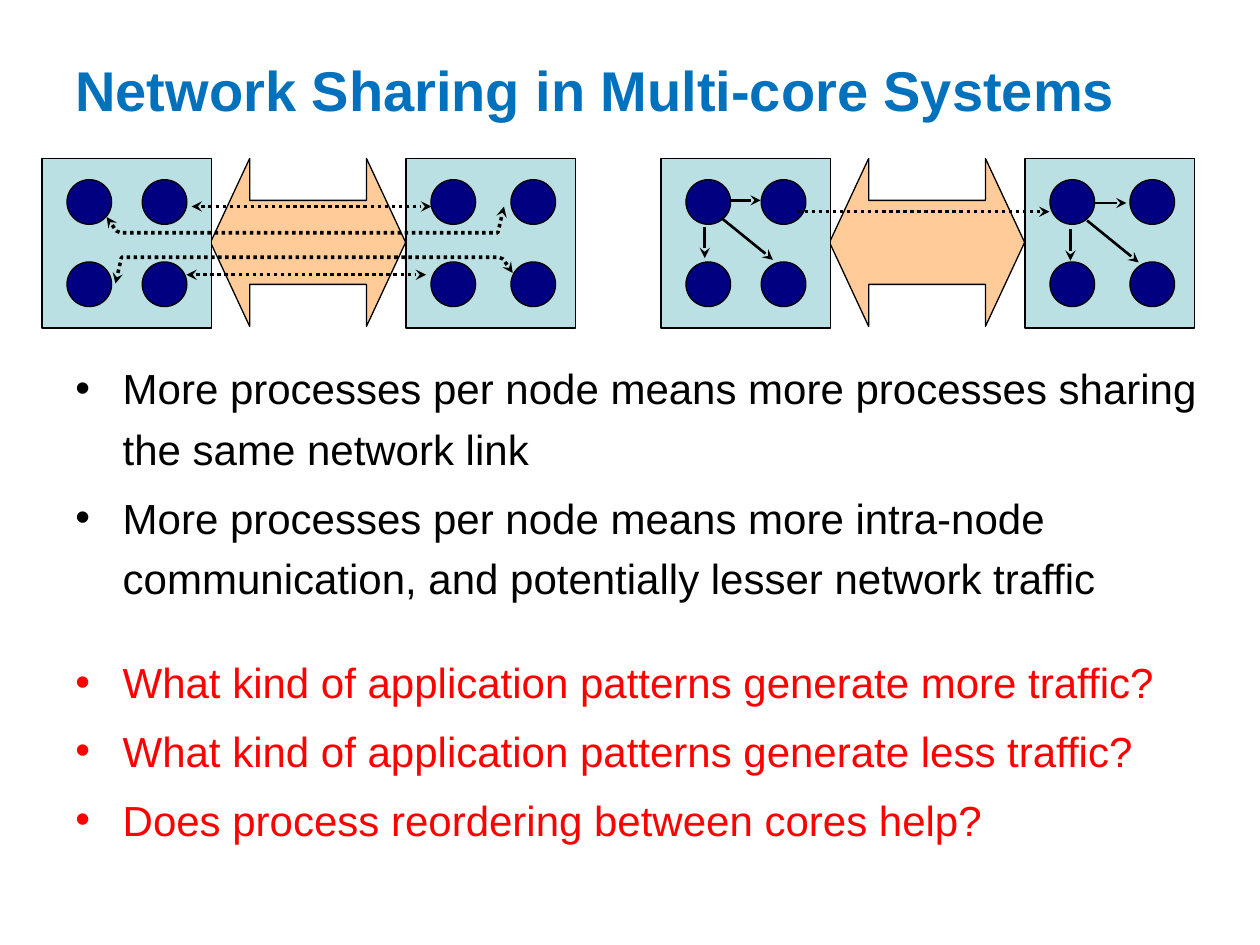
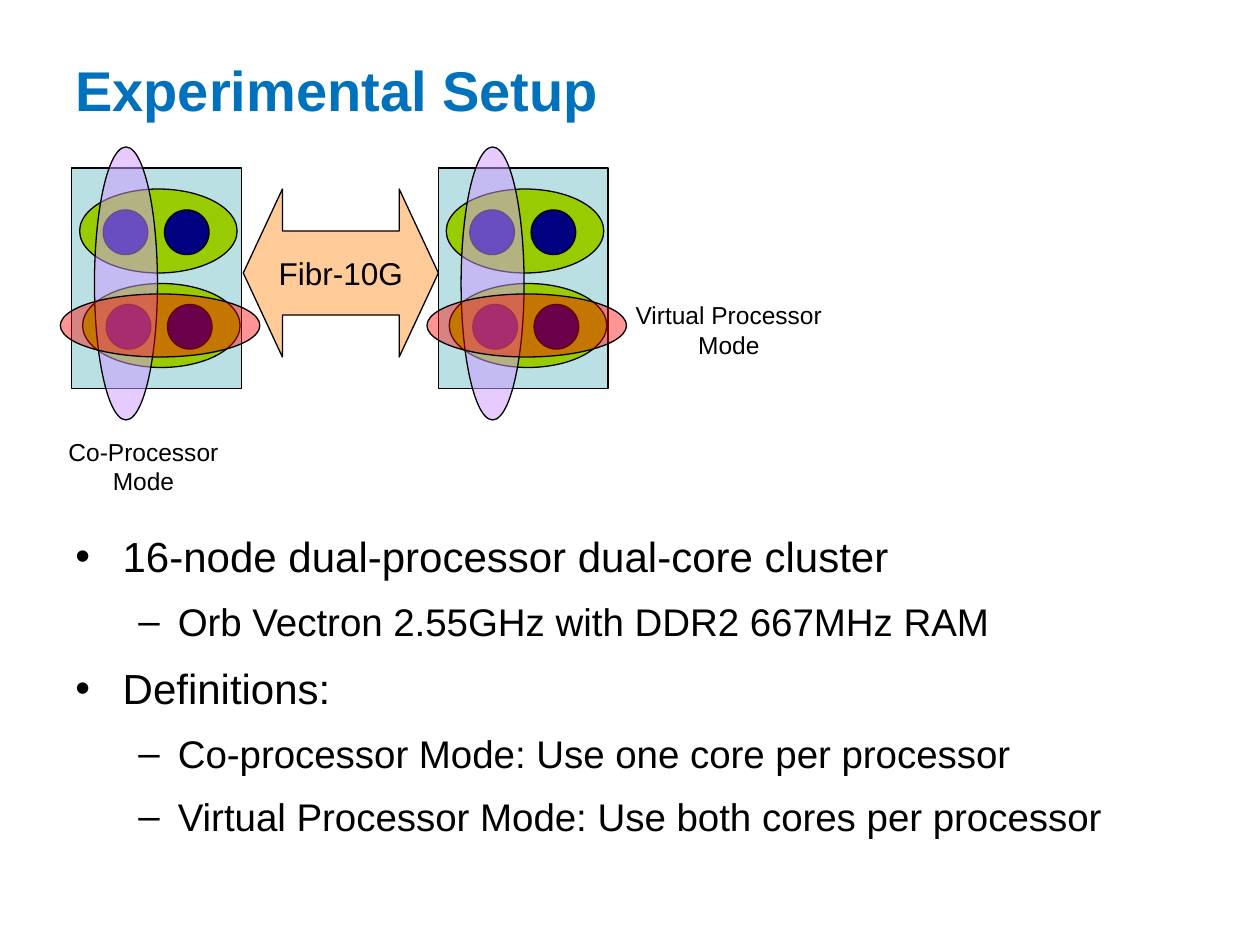
from itertools import product

from lxml import etree
from pptx import Presentation
from pptx.dml.color import RGBColor
from pptx.enum.dml import MSO_LINE
from pptx.enum.shapes import MSO_CONNECTOR, MSO_SHAPE
from pptx.enum.text import MSO_ANCHOR, PP_ALIGN
from pptx.oxml.ns import qn
from pptx.util import Pt

RECT = MSO_SHAPE.RECTANGLE
OVAL = MSO_SHAPE.OVAL
DOUBLE_ARROW = MSO_SHAPE.LEFT_RIGHT_ARROW
STRAIGHT = MSO_CONNECTOR.STRAIGHT
DOTTED = MSO_LINE.ROUND_DOT
MIDDLE, TOP = MSO_ANCHOR.MIDDLE, MSO_ANCHOR.TOP
LEFT, CENTER = PP_ALIGN.LEFT, PP_ALIGN.CENTER

FONT = "Arial"
BLACK = "000000"
RED = "FF0000"
TITLE_BLUE = "0071BC"
NODE_BLUE = "BBE0E3"
CORE_NAVY = "000080"
LINK_ORANGE = "FFCC99"
PROCESSOR_GREEN = "99CC00"
CO_PURPLE = "CC99FF"

CORE = 25.5
NODE_WIDTH = 97
LINK_SIZE = (111.5, 96)
LEVELS = [(24, 27, -27, "•"), (22, 58.5, -22.5, "–")]


def rgb(value):
    return RGBColor.from_string(value)


def points(*values):
    return [Pt(value) for value in values]


def write(frame, lines, size=18, color=BLACK, bold=False, align=LEFT,
          anchor=TOP, wrap=True):
    frame.word_wrap = wrap
    frame.vertical_anchor = anchor
    for index, line in enumerate(lines):
        paragraph = frame.paragraphs[0] if index == 0 else frame.add_paragraph()
        paragraph.alignment = align
        run = paragraph.add_run()
        run.text = line
        run.font.name = FONT
        run.font.size = Pt(size)
        run.font.bold = bold
        run.font.color.rgb = rgb(color)


def add_text(slide, box, lines, **style):
    frame = slide.shapes.add_textbox(*points(*box)).text_frame
    write(frame, lines, **style)
    return frame


def add_solid(slide, kind, box, color, opacity=None):
    solid = slide.shapes.add_shape(kind, *points(*box))
    solid.shadow.inherit = False
    solid.fill.solid()
    solid.fill.fore_color.rgb = rgb(color)
    solid.line.color.rgb = rgb(BLACK)
    solid.line.width = Pt(0.75)
    if opacity:
        tint = solid.element.spPr.find(qn("a:solidFill"))[0]
        etree.SubElement(tint, qn("a:alpha"), val=str(opacity * 1000))
    return solid


def style_route(route, width, dash, both_ends):
    route.line.color.rgb = rgb(BLACK)
    route.line.width = Pt(width)
    if dash:
        route.line.dash_style = dash
    outline = route.element.spPr.find(qn("a:ln"))
    for end in ("a:headEnd", "a:tailEnd")[0 if both_ends else 1:]:
        etree.SubElement(outline, qn(end), type="stealth")


def add_arrow(slide, start, end, width=2, dash=DOTTED, both_ends=False):
    arrow = slide.shapes.add_connector(STRAIGHT, *points(*start, *end))
    style_route(arrow, width, dash, both_ends)
    etree.SubElement(arrow.element.spPr, qn("a:effectLst"))


def add_detour(slide, corners):
    first, *rest = [points(*corner) for corner in corners]
    builder = slide.shapes.build_freeform(*first)
    builder.add_line_segments(rest, close=False)
    detour = builder.convert_to_shape()
    detour.shadow.inherit = False
    detour.fill.background()
    style_route(detour, 2, DOTTED, True)


def add_title(slide, title):
    add_text(slide, (36, 12, 648, 78), [title], size=32, color=TITLE_BLUE,
             bold=True, anchor=MIDDLE)


def add_bullets(slide, box, items):
    frame = add_text(slide, box, [item[0] for item in items])
    for paragraph, (_, level, color, extra_gap) in zip(frame.paragraphs, items):
        size, margin, indent, mark = LEVELS[level]
        paragraph.line_spacing = 1.2
        paragraph.space_before = Pt(0.2 * size + extra_gap)
        font = paragraph.runs[0].font
        font.size = Pt(size)
        font.color.rgb = rgb(color)
        properties = paragraph._p.get_or_add_pPr()
        properties.set("marL", str(Pt(margin)))
        properties.set("indent", str(Pt(indent)))
        etree.SubElement(properties, qn("a:buFont"), typeface=FONT)
        etree.SubElement(properties, qn("a:buChar"), char=mark)


def add_link(slide, left, top):
    link = add_solid(slide, DOUBLE_ARROW, (left, top, *LINK_SIZE), LINK_ORANGE)
    link.adjustments[0] = 0.5
    link.adjustments[1] = 0.233
    return link


def add_quad_node(slide, left, top, column_gap):
    add_solid(slide, RECT, (left, top, NODE_WIDTH, NODE_WIDTH), NODE_BLUE)
    for row, column in product(range(2), repeat=2):
        core = (left + 14.3 + column * column_gap, top + 12.2 + row * 47, CORE, CORE)
        add_solid(slide, OVAL, core, CORE_NAVY)


def add_node_pair(slide, left, top):
    add_link(slide, left + 96.3, top)
    add_quad_node(slide, left, top, 43)
    add_quad_node(slide, left + 208, top, 45.7)


def add_shared_network(slide, left, top):
    add_node_pair(slide, left, top)
    for start, end, height in ((82.5, 219.5, 66.5), (85.5, 222.5, 27.5)):
        add_arrow(slide, (left + start, top + height), (left + end, top + height),
                  both_ends=True)
    upper = [(37, 33.5), (42.5, 41.5), (45, 42.5), (260.5, 42.5), (264, 27.5)]
    lower = [(306 - x, 99 - y) for x, y in upper]
    for corners in (upper, lower):
        add_detour(slide, [(left + x, top + y) for x, y in corners])


def add_core_fan(slide, left, top):
    for x1, y1, x2, y2 in ((39, 24, 57, 24), (34.5, 34, 64, 58), (25, 39, 25, 57)):
        add_arrow(slide, (left + x1, top + y1), (left + x2, top + y2),
                  width=1.5, dash=None)


def add_local_traffic(slide, left, top):
    add_node_pair(slide, left, top)
    add_core_fan(slide, left, top)
    add_core_fan(slide, left + 209, top + 1.5)
    add_arrow(slide, (left + 78, top + 30.5), (left + 222, top + 30.5))


def add_dual_node(slide, left, top):
    add_solid(slide, RECT, (left, top, NODE_WIDTH, 126), NODE_BLUE)
    for row in range(2):
        x, y = left + 4.5 + row * 1.7, top + 12 + row * 54
        add_solid(slide, OVAL, (x, y, 90, 48), PROCESSOR_GREEN)
        for column in range(2):
            core = (x + 13.5 + column * 35, y + 12, CORE, CORE)
            add_solid(slide, OVAL, core, CORE_NAVY)


def add_cluster(slide, left, top):
    link = add_link(slide, left + 98, top + 12)
    write(link.text_frame, ["Fibr-10G"], align=CENTER, anchor=MIDDLE, wrap=False)
    nodes = (left, left + 209.5)
    for x in nodes:
        add_dual_node(slide, x, top)
    modes = [((13, -12, 36, 156), CO_PURPLE, 51), ((-6.5, 72, 114, 36), RED, 42)]
    for (dx, dy, width, height), color, opacity in modes:
        for x in nodes:
            add_solid(slide, OVAL, (x + dx, top + dy, width, height), color, opacity)
    labels = [((-11, 150, 104, 41), "Co-Processor"),
              ((313, 72, 125, 41), "Virtual Processor")]
    for (dx, dy, width, height), mode in labels:
        add_text(slide, (left + dx, top + dy, width, height), [mode, "Mode"],
                 size=14, align=CENTER, wrap=False)


def build_sharing(slide):
    add_title(slide, "Network Sharing in Multi-core Systems")
    add_bullets(slide, (36, 198, 666, 294), [
        ("More processes per node means more processes sharing the same network link",
         0, BLACK, 0),
        ("More processes per node means more intra-node communication, "
         "and potentially lesser network traffic", 0, BLACK, 0),
        ("What kind of application patterns generate more traffic?", 0, RED, 20),
        ("What kind of application patterns generate less traffic?", 0, RED, 0),
        ("Does process reordering between cores help?", 0, RED, 0),
    ])
    add_shared_network(slide, 24, 90.5)
    add_local_traffic(slide, 377.7, 90.5)


def build_setup(slide):
    add_title(slide, "Experimental Setup")
    add_bullets(slide, (36, 294, 666, 198), [
        ("16-node dual-processor dual-core cluster", 0, BLACK, 0),
        ("Orb Vectron 2.55GHz with DDR2 667MHz RAM", 1, BLACK, 0),
        ("Definitions:", 0, BLACK, 0),
        ("Co-processor Mode: Use one core per processor", 1, BLACK, 0),
        ("Virtual Processor Mode: Use both cores per processor", 1, BLACK, 0),
    ])
    add_cluster(slide, 41, 96)


def main():
    deck = Presentation()
    deck.slide_width, deck.slide_height = points(720, 540)
    for build in (build_sharing, build_setup):
        build(deck.slides.add_slide(deck.slide_layouts[6]))
    deck.save("out.pptx")


if __name__ == "__main__":
    main()
